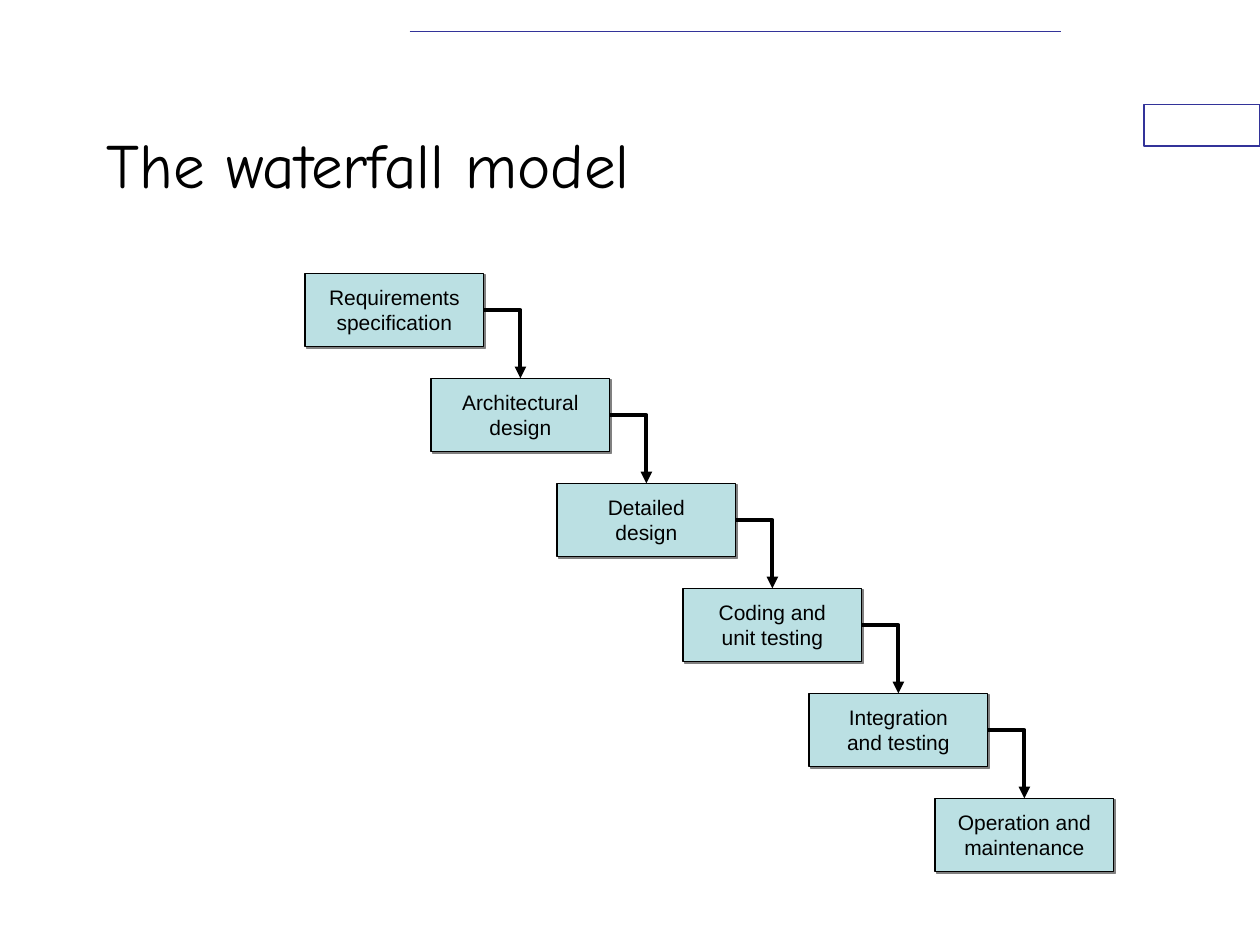
from lxml import etree
from pptx import Presentation
from pptx.dml.color import RGBColor
from pptx.enum.shapes import MSO_CONNECTOR, MSO_SHAPE
from pptx.enum.text import MSO_ANCHOR, PP_ALIGN
from pptx.oxml import parse_xml
from pptx.oxml.ns import nsdecls, qn
from pptx.util import Inches, Pt

RECTANGLE = MSO_SHAPE.RECTANGLE
STRAIGHT, ELBOW = MSO_CONNECTOR.STRAIGHT, MSO_CONNECTOR.ELBOW
MIDDLE, CENTER = MSO_ANCHOR.MIDDLE, PP_ALIGN.CENTER
TOP_SIDE, RIGHT_SIDE = 0, 3

BLACK = RGBColor(0x00, 0x00, 0x00)
WHITE = RGBColor(0xFF, 0xFF, 0xFF)
INDIGO = RGBColor(0x33, 0x33, 0x99)
PALE_TEAL = RGBColor(0xBB, 0xE0, 0xE3)

PHASES = [
    "Requirements\nspecification",
    "Architectural\ndesign",
    "Detailed\ndesign",
    "Coding and\nunit testing",
    "Integration\nand testing",
    "Operation and\nmaintenance",
]
FIRST_LEFT, FIRST_TOP = 2.42, 2.17
STEP_RIGHT, STEP_DOWN = 1, 2.5 / 3
PHASE_WIDTH, PHASE_HEIGHT = 1.42, 0.58

SHADOW = (
    f'<a:effectLst {nsdecls("a")}>'
    '<a:outerShdw blurRad="0" dist="17780" dir="2700000" algn="ctr" rotWithShape="0">'
    '<a:srgbClr val="808080"/></a:outerShdw></a:effectLst>'
)


def write_text(shape, text, size, font_name):
    frame = shape.text_frame
    frame.vertical_anchor = MIDDLE
    paragraph = frame.paragraphs[0]
    paragraph.text = text
    paragraph.font.size = Pt(size)
    paragraph.font.name = font_name
    paragraph.font.color.rgb = BLACK
    return paragraph


def add_rectangle(page, left, top, width, height, fill, line):
    box = page.shapes.add_shape(
        RECTANGLE, Inches(left), Inches(top), Inches(width), Inches(height))
    box.shadow.inherit = False
    box.fill.solid()
    box.fill.fore_color.rgb = fill
    box.line.color.rgb = line
    box.line.width = Pt(0.75)
    return box


def add_line(page, kind, start, end, color, width):
    line = page.shapes.add_connector(kind, *map(Inches, start + end))
    line.line.color.rgb = color
    line.line.width = Pt(width)
    etree.SubElement(line._element.spPr, qn("a:effectLst"))
    return line


def add_title(page, text):
    title = page.shapes.add_textbox(
        Inches(0.75), Inches(0.67), Inches(7.5), Inches(1.25))
    title.text_frame.word_wrap = True
    write_text(title, text, 36, "Comic Neue")


def add_phase(page, index, text):
    box = add_rectangle(
        page, FIRST_LEFT + index * STEP_RIGHT, FIRST_TOP + index * STEP_DOWN,
        PHASE_WIDTH, PHASE_HEIGHT, PALE_TEAL, BLACK)
    properties = box._element.spPr
    properties.replace(properties.find(qn("a:effectLst")), parse_xml(SHADOW))
    box.text_frame.word_wrap = False
    write_text(box, text, 12, "Arial").alignment = CENTER
    return box


def add_arrow(page, source, target):
    arrow = add_line(page, ELBOW, (0, 0), (0, 0), BLACK, 2.25)
    arrow.begin_connect(source, RIGHT_SIDE)
    arrow.end_connect(target, TOP_SIDE)
    arrow._element.spPr.find(qn("a:prstGeom")).set("prst", "bentConnector2")
    etree.SubElement(arrow.line._get_or_add_ln(), qn("a:tailEnd"), type="triangle")


def main():
    deck = Presentation()
    deck.slide_width, deck.slide_height = Inches(10), Inches(7.5)
    page = deck.slides.add_slide(deck.slide_layouts[6])
    add_rectangle(page, 9.08, 0.83, 0.92, 0.33, WHITE, INDIGO)
    add_line(page, STRAIGHT, (3.25, 0.25), (8.42, 0.25), INDIGO, 1)
    add_title(page, "The waterfall model")
    boxes = [add_phase(page, index, text) for index, text in enumerate(PHASES)]
    for source, target in zip(boxes, boxes[1:]):
        add_arrow(page, source, target)
    deck.save("out.pptx")


main()
